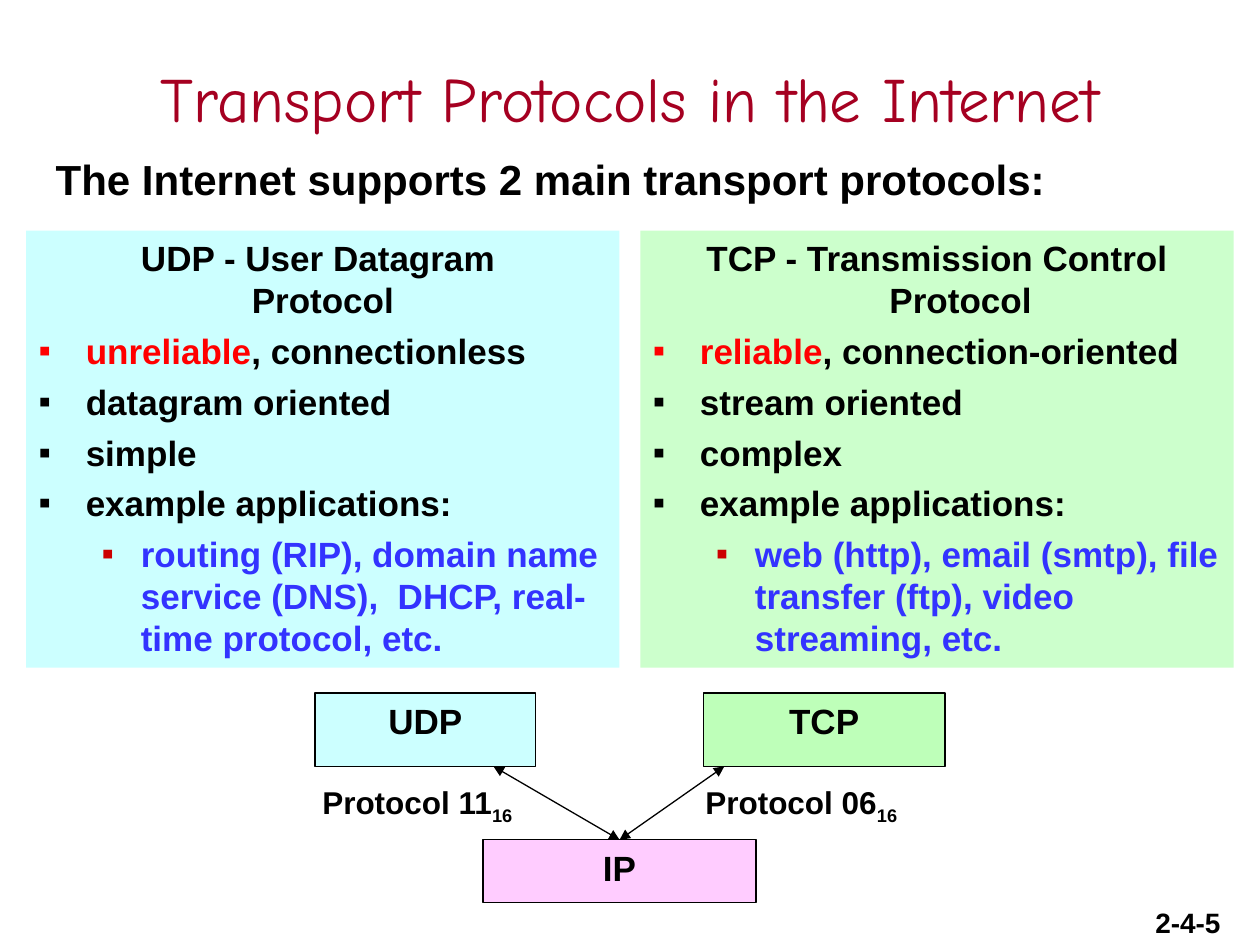
from lxml import etree
from pptx import Presentation
from pptx import util as u
from pptx.dml.color import RGBColor
from pptx.enum import shapes, text
from pptx.oxml import ns

BLACK = RGBColor(0x00, 0x00, 0x00)
RED = RGBColor(0xFF, 0x00, 0x00)
DARK_RED = RGBColor(0xCC, 0x00, 0x00)
CRIMSON = RGBColor(0xA5, 0x00, 0x21)
BLUE = RGBColor(0x33, 0x33, 0xFF)
CYAN = RGBColor(0xCC, 0xFF, 0xFF)
PALE_GREEN = RGBColor(0xCC, 0xFF, 0xCC)
GREEN = RGBColor(0xBE, 0xFF, 0xB9)
PINK = RGBColor(0xFF, 0xCC, 0xFF)

LEFT, CENTER, RIGHT = text.PP_ALIGN.LEFT, text.PP_ALIGN.CENTER, text.PP_ALIGN.RIGHT


class SlideBuilder:
    font = "Arial"
    line_width = u.Pt(0.75)
    body_size = 20
    gap = u.Pt(5)
    indents = [(0.95, -0.95), (2.06, -0.79)]

    def __init__(self, s):
        self.s = s

    def run(self, p, words, size, color=BLACK, font=font, bold=True):
        r = p.add_run()
        r.text = words
        r.font.name, r.font.size, r.font.bold = font, u.Pt(size), bold
        r.font.color.rgb = color
        return r

    def label(self, box, words, size, align=LEFT, subscript="", **style):
        """Add a one-line text box, with an optional subscript at its end."""
        sp = self.s.shapes.add_textbox(*map(u.Cm, box))
        tf = sp.text_frame
        tf.word_wrap = True
        p = tf.paragraphs[0]
        p.alignment = align
        self.run(p, words, size, **style)
        if subscript:
            r = self.run(p, subscript, size, **style)
            r.font._element.set("baseline", "-25000")
        return sp

    def rectangle(self, box, fill):
        sp = self.s.shapes.add_shape(shapes.MSO_SHAPE.RECTANGLE, *map(u.Cm, box))
        sp.shadow.inherit = False
        sp.fill.solid()
        sp.fill.fore_color.rgb = fill
        sp.line.fill.background()
        sp.text_frame.word_wrap = True
        sp.text_frame.vertical_anchor = text.MSO_ANCHOR.TOP
        return sp

    def node(self, box, fill, words):
        sp = self.rectangle(box, fill)
        sp.line.color.rgb = BLACK
        sp.line.width = self.line_width
        p = sp.text_frame.paragraphs[0]
        p.alignment = CENTER
        self.run(p, words, self.body_size)
        return sp

    def indent(self, p, level):
        left, first = self.indents[level]
        pPr = p._p.get_or_add_pPr()
        pPr.set("marL", str(u.Cm(left)))
        pPr.set("indent", str(u.Cm(first)))
        return pPr

    def bullet(self, tf, runs, color, level=0):
        p = tf.add_paragraph()
        pPr = self.indent(p, level)
        clr = etree.SubElement(pPr, ns.qn("a:buClr"))
        etree.SubElement(clr, ns.qn("a:srgbClr"), val=str(color))
        etree.SubElement(pPr, ns.qn("a:buFont"), typeface=self.font)
        etree.SubElement(pPr, ns.qn("a:buChar"), char="▪")
        p.level = level
        p.alignment = LEFT
        p.space_before = self.gap
        for words, run_color in runs:
            self.run(p, words, self.body_size, run_color)

    def panel(self, box, fill, heading, reliability, traits, examples):
        tf = self.rectangle(box, fill).text_frame
        for i, words in enumerate(heading):
            p = tf.add_paragraph() if i else tf.paragraphs[0]
            self.indent(p, 0)
            p.alignment = CENTER
            self.run(p, words, self.body_size)
        key, rest = reliability
        self.bullet(tf, [(key, RED), (rest, BLACK)], RED)
        for trait in traits + ["example applications:"]:
            self.bullet(tf, [(trait, BLACK)], BLACK)
        self.bullet(tf, [(examples, BLUE)], DARK_RED, level=1)

    def arrow(self, x, y, target):
        """Draw a double-headed arrow from a point to the target's top middle."""
        c = self.s.shapes.add_connector(
            shapes.MSO_CONNECTOR.STRAIGHT, u.Cm(x), u.Cm(y),
            target.left + target.width // 2, target.top)
        c.end_connect(target, 0)
        c.line.color.rgb = BLACK
        c.line.width = self.line_width
        ln = c.line._get_or_add_ln()
        for end in ("a:headEnd", "a:tailEnd"):
            etree.SubElement(ln, ns.qn(end), type="triangle")
        etree.SubElement(c._element.spPr, ns.qn("a:effectLst"))


def main():
    prs = Presentation()
    prs.slide_width, prs.slide_height = u.Cm(25.4), u.Cm(19.05)
    b = SlideBuilder(prs.slides.add_slide(prs.slide_layouts[6]))

    b.label((23.04, 18.14, 2.36, 0.91), "2-4-5", 16)
    title = b.label((1.27, 0.76, 22.86, 2.41), "Transport Protocols in the Internet",
                    36, CENTER, color=CRIMSON, font="Comic Neue", bold=False)
    title.text_frame.vertical_anchor = text.MSO_ANCHOR.MIDDLE
    b.label((0.64, 2.97, 23.7, 1.27),
            " The Internet supports 2 main transport protocols:", 24)

    panels = [
        (CYAN, ["UDP - User Datagram ", "Protocol"],
         ("unreliable", ", connectionless"), ["datagram oriented", "simple"],
         "routing (RIP), domain name service (DNS),  DHCP, real-time protocol, etc."),
        (PALE_GREEN, ["TCP - Transmission Control Protocol"],
         ("reliable", ", connection-oriented"), ["stream oriented", "complex"],
         "web (http), email (smtp), file transfer (ftp), video streaming, etc."),
    ]
    for i, content in enumerate(panels):
        b.panel((0.53 + i * 12.38, 4.65, 11.96, 8.81), *content)

    ip = b.node((9.74, 16.93, 5.5, 1.27), PINK, "IP")
    transports = [
        ("UDP", CYAN, 6.35, 4.45, 9.95, "Protocol 11", 5.93, RIGHT),
        ("TCP", GREEN, 14.18, 4.87, 14.6, "Protocol 06", 13.97, LEFT),
    ]
    for name, fill, x, width, arrow_x, number, label_x, align in transports:
        b.node((x, 13.97, width, 1.48), fill, name)
        b.arrow(arrow_x, 15.45, ip)
        b.label((label_x, 15.67, 4.65, 1.12), number, 18, align, subscript="16")

    prs.save("out.pptx")


if __name__ == "__main__":
    main()
